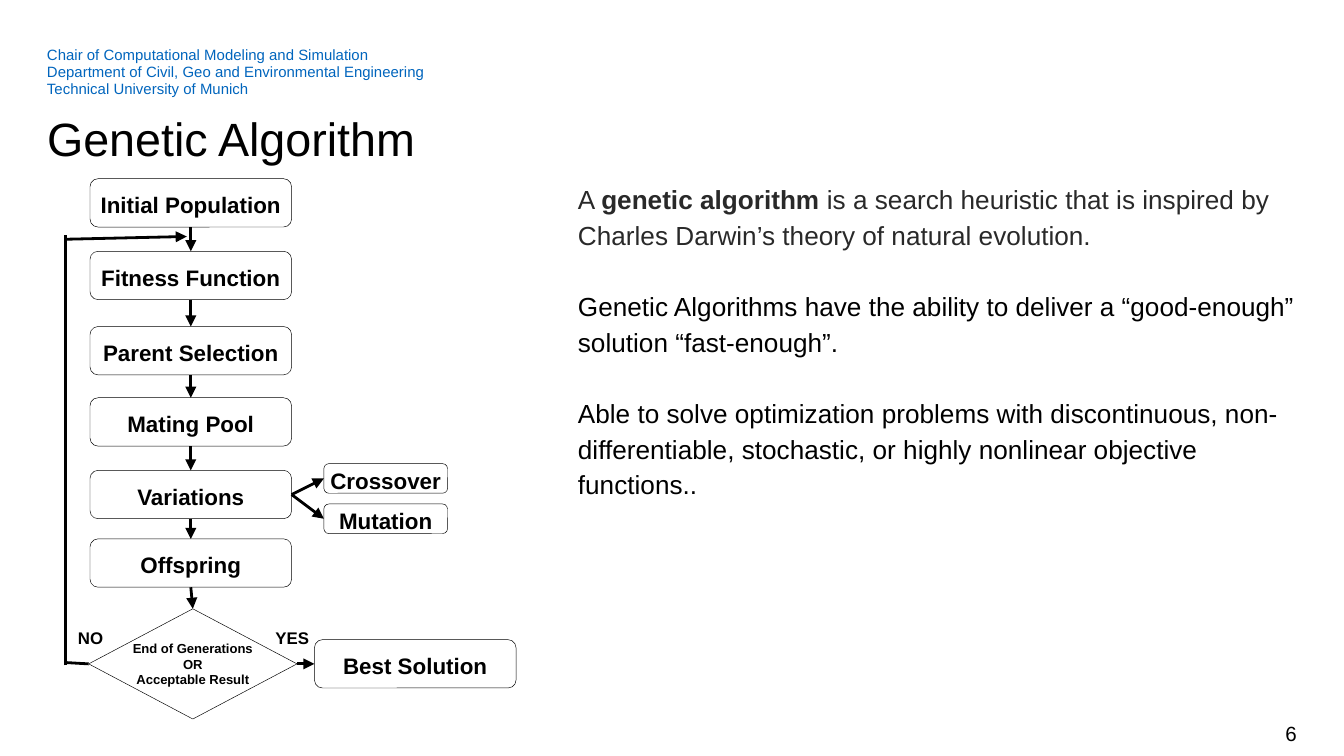
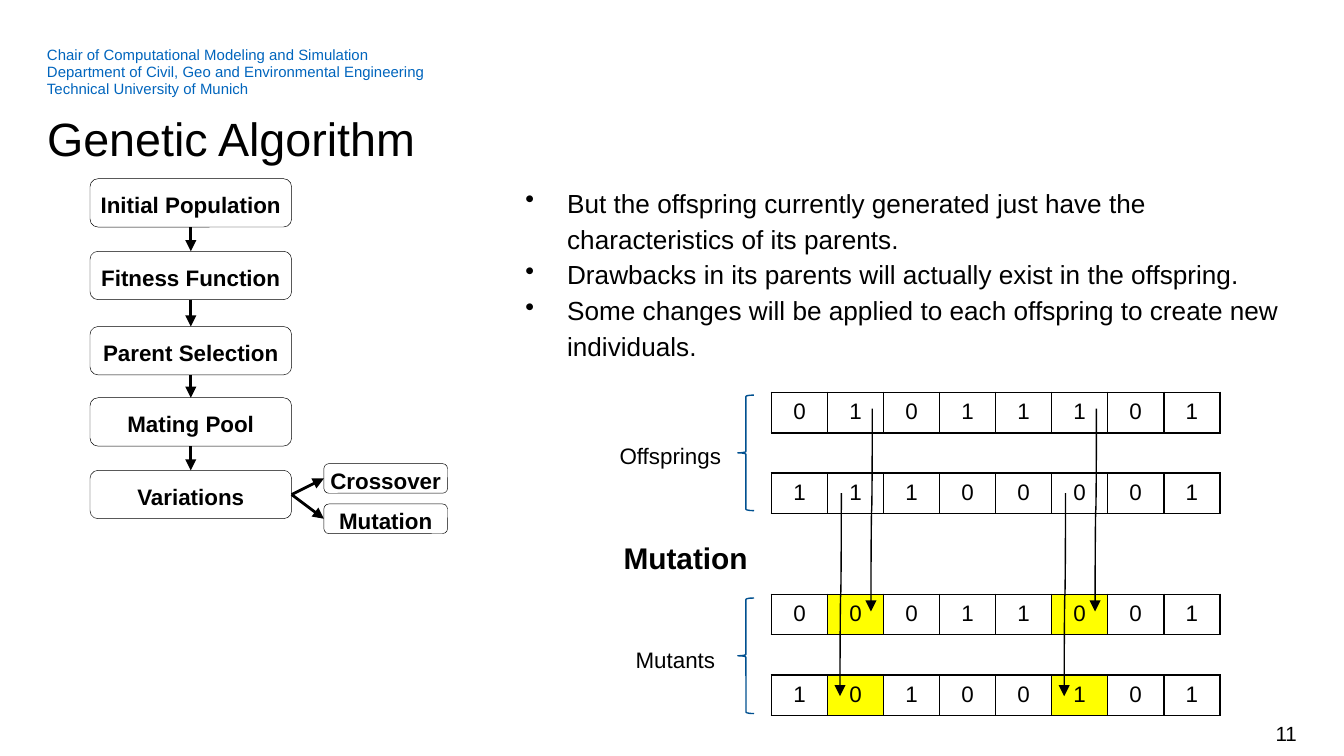
from lxml import etree
from pptx import Presentation
from pptx.dml.color import RGBColor
from pptx.enum.shapes import MSO_CONNECTOR, MSO_SHAPE
from pptx.enum.text import MSO_ANCHOR, PP_ALIGN
from pptx.oxml.ns import qn
from pptx.util import Inches, Pt

STRAIGHT, CURVE = MSO_CONNECTOR.STRAIGHT, MSO_CONNECTOR.CURVE
ROUNDED, DECISION = MSO_SHAPE.ROUNDED_RECTANGLE, MSO_SHAPE.FLOWCHART_DECISION
BRACE = MSO_SHAPE.LEFT_BRACE
LEFT, CENTER, RIGHT = PP_ALIGN.LEFT, PP_ALIGN.CENTER, PP_ALIGN.RIGHT
TOP, MIDDLE = MSO_ANCHOR.TOP, MSO_ANCHOR.MIDDLE
SITE_TOP, SITE_LEFT, SITE_BOTTOM, SITE_RIGHT = range(4)

SLIDE_W, SLIDE_H = Inches(10), Inches(5.625)
GRID_COLUMNS = 100
FONT = "Arial"
BLACK, WHITE, YELLOW = "000000", "FFFFFF", "FFFF00"
BLUE, NAVY, GRAY = "0065BD", "005090", "292929"
LOOSE = 1.14

HEADER = [
    "Chair of Computational Modeling and Simulation",
    "Department of Civil, Geo and Environmental Engineering",
    "Technical University of Munich",
]
STEPS = [
    ("Initial Population", 13.3),
    ("Fitness Function", 18.7),
    ("Parent Selection", 24.3),
    ("Mating Pool", 29.6),
    ("Variations", 35),
    ("Offspring", 40.1),
]
GENES = {0: "01011101", 2: "11100001", 5: "00011001", 7: "10100101"}
MUTATED = {(5, 1), (5, 5), (7, 1), (7, 5)}
TABLE_X, TABLE_Y, GENE_W, GENE_H = 57.4, 29.2, 4.17, 3


def grid(n):
    """Turn a number of square grid cells into a length."""
    return int(n * SLIDE_W / GRID_COLUMNS)


def rgb(color):
    """Turn a hex string into a colour."""
    return RGBColor.from_string(color)


def write(tf, paragraphs, size=12, color=BLACK, bold=False, align=LEFT,
          spacing=None, after=0, bullet=False):
    """Write paragraphs, each a string or a list of (text, bold, color) runs."""
    for i, content in enumerate(paragraphs):
        p = tf.paragraphs[0] if i == 0 else tf.add_paragraph()
        p.alignment = align
        if spacing:
            p.line_spacing = spacing
        if after and i < len(paragraphs) - 1:
            p.space_after = Pt(after)
        if bullet:
            pPr = p._p.get_or_add_pPr()
            pPr.set("marL", str(grid(3.1)))
            pPr.set("indent", str(-grid(3.1)))
            etree.SubElement(pPr, qn("a:buChar")).set("char", "•")
        runs = [(content, bold, color)] if isinstance(content, str) else content
        for words, is_bold, run_color in runs:
            r = p.add_run()
            r.text = words
            r.font.name, r.font.size, r.font.bold = FONT, Pt(size), is_bold
            r.font.color.rgb = rgb(run_color)


def set_frame(tf, wrap=True, anchor=TOP):
    """Give a text frame no insets."""
    tf.word_wrap, tf.vertical_anchor = wrap, anchor
    tf.margin_left = tf.margin_right = tf.margin_top = tf.margin_bottom = 0


def text(s, x, y, w, h, paragraphs, anchor=TOP, **fmt):
    """Add a text box."""
    tf = s.shapes.add_textbox(grid(x), grid(y), grid(w), grid(h)).text_frame
    set_frame(tf, anchor=anchor)
    write(tf, paragraphs, **fmt)


def outline(s, kind, x, y, w, h, color=BLACK, weight=0.25):
    """Add an unfilled preset shape."""
    sp = s.shapes.add_shape(kind, grid(x), grid(y), grid(w), grid(h))
    sp.shadow.inherit = False
    sp.fill.background()
    sp.line.color.rgb, sp.line.width = rgb(color), Pt(weight)
    return sp


def node(s, label, x, y, w=15, h=3.6, kind=ROUNDED, size=12, spacing=LOOSE):
    """Add a labelled step of the flow chart."""
    sp = outline(s, kind, x, y, w, h)
    set_frame(sp.text_frame, wrap=False, anchor=MIDDLE)
    write(sp.text_frame, label.split("\n"), size=size, bold=True, align=CENTER,
          spacing=spacing)
    return sp


def line(s, x1, y1, x2, y2, kind=STRAIGHT, weight=1.5, head=True):
    """Add a black connector, with an arrowhead at its end if asked."""
    c = s.shapes.add_connector(kind, grid(x1), grid(y1), grid(x2), grid(y2))
    c.line.color.rgb, c.line.width = rgb(BLACK), Pt(weight)
    if head:
        etree.SubElement(c.line._get_or_add_ln(), qn("a:tailEnd")).set("type", "triangle")
    etree.SubElement(c._element.spPr, qn("a:effectLst"))
    return c


def link(s, start, end, start_site=SITE_BOTTOM, end_site=SITE_TOP):
    """Join two nodes with an arrow."""
    c = line(s, 0, 0, 1, 1)
    c.begin_connect(start, start_site)
    c.end_connect(end, end_site)


def mutation_arrow(s, x, y):
    """Add a curved arrow that runs down three rows from a gene to its mutant."""
    length, shift = 15.1, 0.1
    mid_x, mid_y = x - shift / 2, y + length / 2
    c = line(s, mid_x - length / 2, mid_y - shift / 2,
             mid_x + length / 2, mid_y + shift / 2, kind=CURVE, weight=0.75)
    c._element.spPr.find(qn("a:xfrm")).set("rot", "5400000")


def border(cell, visible):
    """Draw the visible sides of a cell and clear the others."""
    tcPr = cell._tc.get_or_add_tcPr()
    for i, side in enumerate("LRTB"):
        ln = etree.Element(qn(f"a:ln{side}"), w=str(Pt(1)))
        if side in visible:
            fill = etree.SubElement(ln, qn("a:solidFill"))
            etree.SubElement(fill, qn("a:srgbClr")).set("val", BLACK)
        else:
            etree.SubElement(ln, qn("a:noFill"))
        tcPr.insert(i, ln)


def gene_table(s):
    """Add the table of offspring and mutant genes."""
    rows, cols = max(GENES) + 1, len(GENES[0])
    table = s.shapes.add_table(rows, cols, grid(TABLE_X), grid(TABLE_Y),
                               grid(cols * GENE_W), grid(rows * GENE_H)).table
    table.first_row = table.horz_banding = False
    for row in range(rows):
        table.rows[row].height = grid(GENE_H)
        spacer_sides = ("T" if row - 1 in GENES else "") + ("B" if row + 1 in GENES else "")
        for col in range(cols):
            cell = table.cell(row, col)
            cell.fill.solid()
            cell.fill.fore_color.rgb = rgb(YELLOW if (row, col) in MUTATED else WHITE)
            if row in GENES:
                write(cell.text_frame, [GENES[row][col]], align=CENTER)
                border(cell, "LRTB")
            else:
                cell.margin_top = cell.margin_bottom = 0
                border(cell, spacer_sides)


def flow(s, count):
    """Draw the first steps of the algorithm and return the last one."""
    nodes = [node(s, label, 6.7, y) for label, y in STEPS[:count]]
    for start, end in zip(nodes, nodes[1:]):
        link(s, start, end)
    for label, y in (("Crossover", 34.5), ("Mutation", 37.5)):
        variant = node(s, label, 24.1, y, w=9.2, h=2.2)
        link(s, nodes[4], variant, SITE_RIGHT, SITE_LEFT)
    return nodes[-1]


def base_slide(prs, number):
    """Add a slide with the header, title and page number."""
    s = prs.slides.add_slide(prs.slide_layouts[6])
    text(s, 3.5, 3.5, 78.3, 3.8, HEADER, size=8, color=BLUE, spacing=0.94)
    text(s, 3.5, 7.9, 93.1, 4.2, ["Genetic Algorithm"], size=25, spacing=Pt(32))
    text(s, 74.1, 53.1, 22.4, 3, [str(number)], size=11, align=RIGHT, anchor=MIDDLE)
    return s


def overview_slide(prs):
    """Show the whole algorithm beside its description."""
    s = base_slide(prs, 6)
    text(s, 43, 13.3, 53.5, 38.1, [
        [("A ", False, GRAY), ("genetic algorithm", True, GRAY),
         (" is a search heuristic that is inspired by Charles Darwin’s theory of "
          "natural evolution.", False, GRAY)],
        "Genetic Algorithms have the ability to deliver a “good-enough” solution "
        "“fast-enough”.",
        "Able to solve optimization problems with discontinuous, non-differentiable, "
        "stochastic, or highly nonlinear objective functions..",
    ], size=14, spacing=LOOSE, after=19)
    offspring = flow(s, len(STEPS))
    check = node(s, "End of Generations\nOR\nAcceptable Result", 6.6, 45.3,
                 w=15.5, h=8.2, kind=DECISION, size=7, spacing=None)
    best = node(s, "Best Solution", 23.4, 47.6)
    link(s, offspring, check)
    link(s, check, best, SITE_RIGHT, SITE_LEFT)
    back = line(s, 6.6, 49.4, 4.9, 49.3, head=False)
    back.begin_connect(check, SITE_LEFT)
    line(s, 4.9, 49.5, 4.9, 17.5, head=False)
    line(s, 5, 17.8, 13.9, 17.6)
    for label, x in (("YES", 20.5), ("NO", 5.8)):
        text(s, x, 46.5, 3.3, 1.6, [label], size=9, bold=True, spacing=LOOSE)


def mutation_slide(prs):
    """Show how mutation changes the genes of the offspring."""
    s = base_slide(prs, 11)
    text(s, 39.1, 13.6, 57.5, 37.7, [
        "But the offspring currently generated just have the characteristics of its "
        "parents.",
        "Drawbacks in its parents will actually exist in the offspring.",
        "Some changes will be applied to each offspring to create new individuals.",
    ], size=14, spacing=LOOSE, bullet=True)
    flow(s, 5)
    for label, x, y, brace_y in (("Offsprings", 46.1, 32.6, 29.4),
                                 ("Mutants", 47.3, 47.8, 44.5)):
        outline(s, BRACE, 54.9, brace_y, 1.2, 8.6, color=NAVY, weight=0.75)
        text(s, x, y, 8, 2.1, [label], spacing=LOOSE)
    text(s, 46.4, 39.8, 15.7, 2.8, ["Mutation"], size=16, bold=True, spacing=LOOSE)
    gene_table(s)
    for x, y in ((64.9, 30.4), (62.6, 36.7)):
        for columns in (0, 4):
            mutation_arrow(s, x + columns * GENE_W, y)


def main():
    """Build and save the slides."""
    prs = Presentation()
    prs.slide_width, prs.slide_height = SLIDE_W, SLIDE_H
    overview_slide(prs)
    mutation_slide(prs)
    prs.save("out.pptx")


if __name__ == "__main__":
    main()
